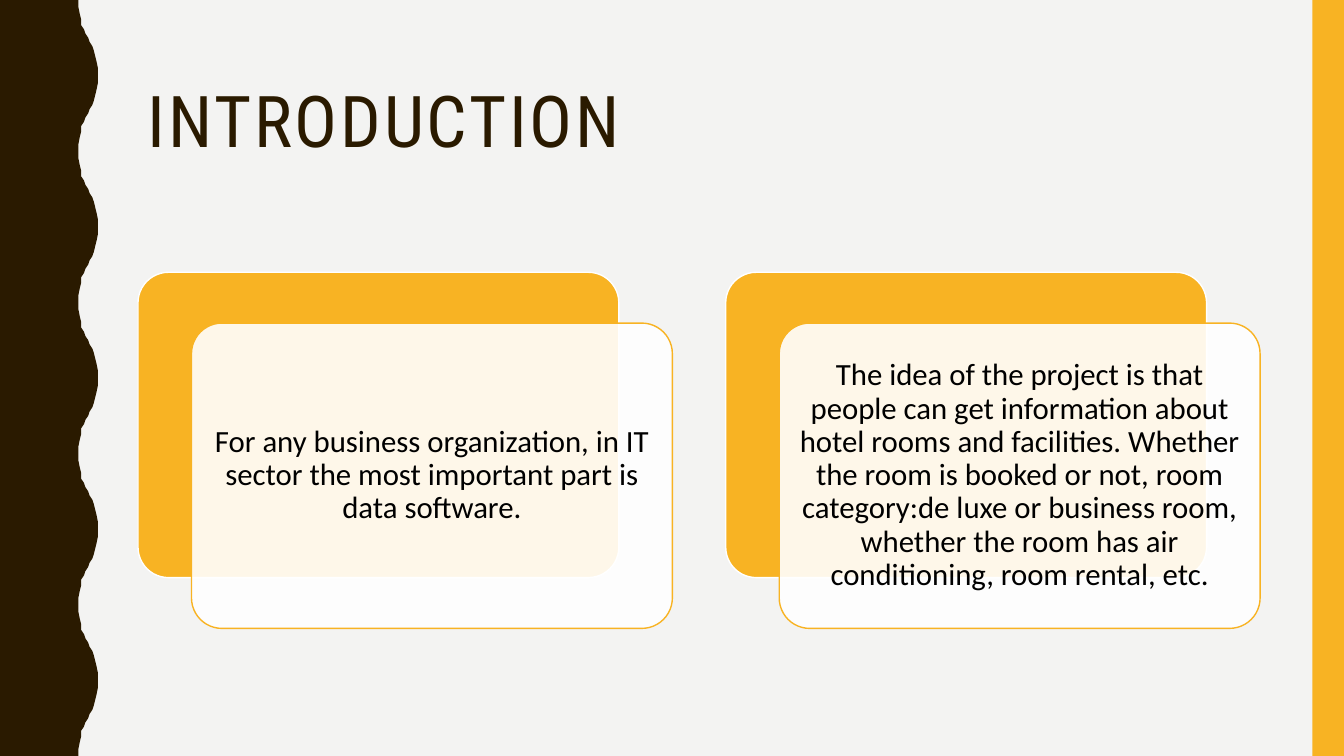
from dataclasses import dataclass

from lxml import etree
from pptx import Presentation
from pptx.dml.color import RGBColor
from pptx.enum.shapes import MSO_SHAPE
from pptx.enum.text import MSO_ANCHOR, PP_ALIGN
from pptx.oxml.ns import qn
from pptx.shapes.autoshape import Shape
from pptx.slide import Slide
from pptx.text.text import TextFrame
from pptx.util import Pt

RECT = MSO_SHAPE.RECTANGLE
ROUND = MSO_SHAPE.ROUNDED_RECTANGLE
MIDDLE = MSO_ANCHOR.MIDDLE
LEFT = PP_ALIGN.LEFT
CENTER = PP_ALIGN.CENTER


@dataclass(frozen=True)
class Theme:
    paper: str = "F3F3F2"
    dark: str = "2A1A00"
    gold: str = "F8B323"
    white: str = "FFFFFF"
    ink: str = "000000"
    head_font: str = "Roboto Condensed"
    body_font: str = "Calibri"
    head_size: float = 51
    body_size: float = 22


@dataclass(frozen=True)
class Box:
    left: float
    top: float
    width: float
    height: float

    def shift(self, dx: float, dy: float) -> "Box":
        return Box(self.left + dx, self.top + dy, self.width, self.height)

    def lengths(self) -> list[Pt]:
        return [Pt(v) for v in (self.left, self.top, self.width, self.height)]


@dataclass(frozen=True)
class Style:
    font: str
    size: float
    color: str
    align: PP_ALIGN
    inset: tuple[float, float]


THEME = Theme()
WIDE, HIGH = 960, 540
HEAD = Style(THEME.head_font, THEME.head_size, THEME.dark, LEFT, (7.2, 3.6))
BODY = Style(THEME.body_font, THEME.body_size, THEME.ink, CENTER, (6.5, 6.5))

# Edge of half a wave, as (x, y); the other half mirrors it
CURVE = [
    (56.2, 0), (56.2, 5), (56.9, 10), (57.6, 14.4), (58.3, 18),
    (59.8, 21), (61.2, 24), (62.6, 27), (64.1, 30), (65.5, 33),
    (67, 36), (68.4, 39.6), (69.1, 44), (69.8, 49), (70, 54),
]
WAVES = 5
PERIOD = HIGH / WAVES

CARD = Box(98.6, 194.5, 343.5, 218.1)
STEP = 419.8
SHIFT = (38.2, 36.3)
TEXTS = [
    "For any business organization, in IT sector the most important part "
    "is data software.",
    "The idea of the project is that people can get information about "
    "hotel rooms and facilities. Whether the room is booked or not, room "
    "category:de luxe or business room, whether the room has air "
    "conditioning, room rental, etc.",
]


def rgb(code: str) -> RGBColor:
    return RGBColor.from_string(code)


def paint(shape: Shape, fill: str, line: str | None = None) -> None:
    shape.shadow.inherit = False
    shape.fill.solid()
    shape.fill.fore_color.rgb = rgb(fill)
    if line is None:
        shape.line.fill.background()
    else:
        shape.line.color.rgb = rgb(line)
        shape.line.width = Pt(1)


def fade(shape: Shape, percent: int) -> None:
    color = shape._element.spPr.find(qn("a:solidFill"))[0]
    etree.SubElement(color, qn("a:alpha"), val=str(percent * 1000))


def write(frame: TextFrame, text: str, style: Style, gap: float = 0) -> None:
    side, edge = (Pt(v) for v in style.inset)
    para = frame.paragraphs[0]
    run = para.add_run()
    run.text = text
    formats = {
        frame: {
            "word_wrap": True, "vertical_anchor": MIDDLE,
            "margin_left": side, "margin_right": side,
            "margin_top": edge, "margin_bottom": edge,
        },
        para: {"alignment": style.align, "line_spacing": 0.9},
        run.font: {"name": style.font, "size": Pt(style.size)},
    }
    for target, values in formats.items():
        for name, value in values.items():
            setattr(target, name, value)
    run.font.color.rgb = rgb(style.color)
    if gap:
        run._r.get_or_add_rPr().set("spc", str(round(gap * 100)))


def draw_wave(slide: Slide) -> None:
    mirror = [(x, PERIOD - y) for x, y in reversed(CURVE[:-1])]
    points = [
        (x, y + i * PERIOD) for i in range(WAVES) for x, y in CURVE + mirror
    ]
    outline = slide.shapes.build_freeform(0, 0, scale=Pt(1))
    outline.add_line_segments(points + [(0, HIGH)], close=True)
    paint(outline.convert_to_shape(), THEME.dark)


def draw_card(slide: Slide, box: Box, text: str) -> None:
    back = slide.shapes.add_shape(ROUND, *box.lengths())
    paint(back, THEME.gold, THEME.white)
    front = slide.shapes.add_shape(ROUND, *box.shift(*SHIFT).lengths())
    paint(front, THEME.white, THEME.gold)
    fade(front, 90)
    for shape in (back, front):
        shape.adjustments[0] = 0.1
    write(front.text_frame, text, BODY)


def main() -> None:
    deck = Presentation()
    deck.slide_width, deck.slide_height = Pt(WIDE), Pt(HIGH)
    slide = deck.slides.add_slide(deck.slide_layouts[6])
    slide.background.fill.solid()
    slide.background.fill.fore_color.rgb = rgb(THEME.paper)

    # Side bands
    draw_wave(slide)
    band = Box(937.5, 0, 22.5, HIGH)
    paint(slide.shapes.add_shape(RECT, *band.lengths()), THEME.gold)

    # Title
    title = slide.shapes.add_textbox(*Box(98.6, 30.2, 801.4, 117.4).lengths())
    write(title.text_frame, "INTRODUCTION", HEAD, gap=2)

    # Cards
    for i, text in enumerate(TEXTS):
        draw_card(slide, CARD.shift(i * STEP, 0), text)

    deck.save("out.pptx")


if __name__ == "__main__":
    main()
